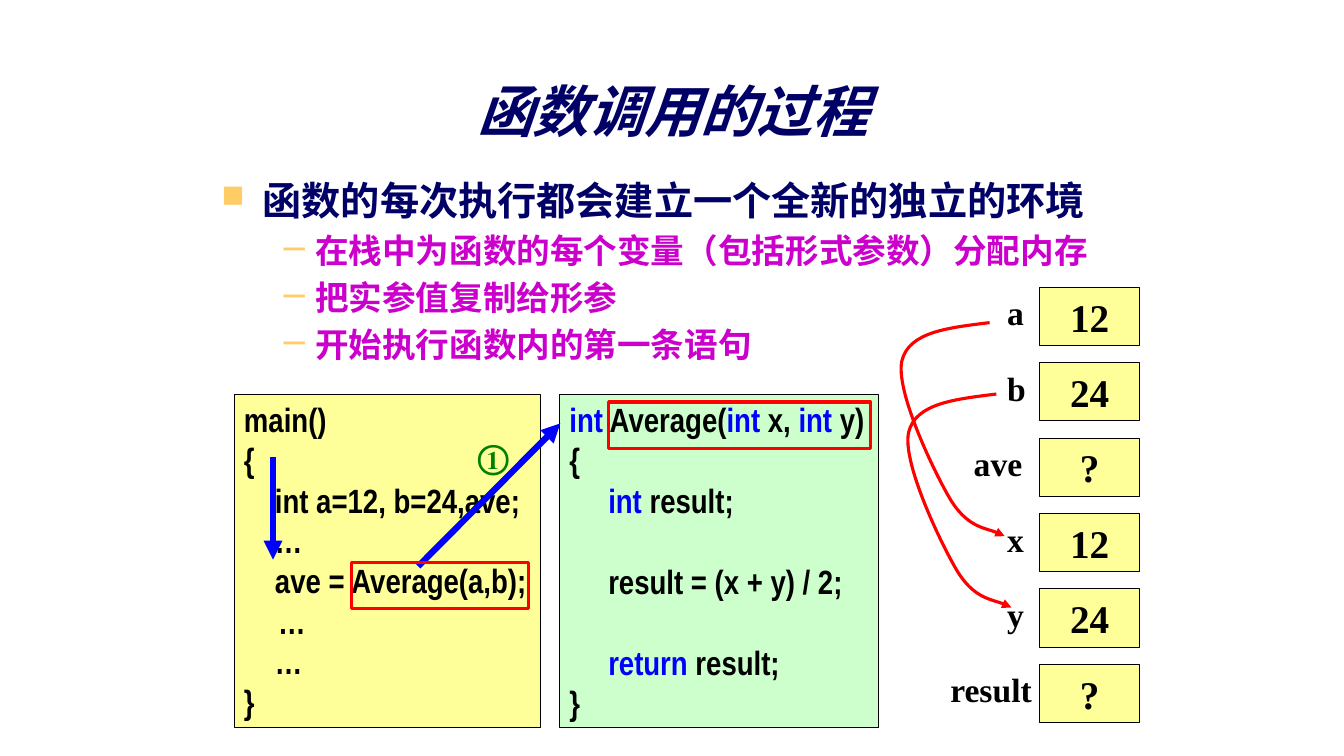
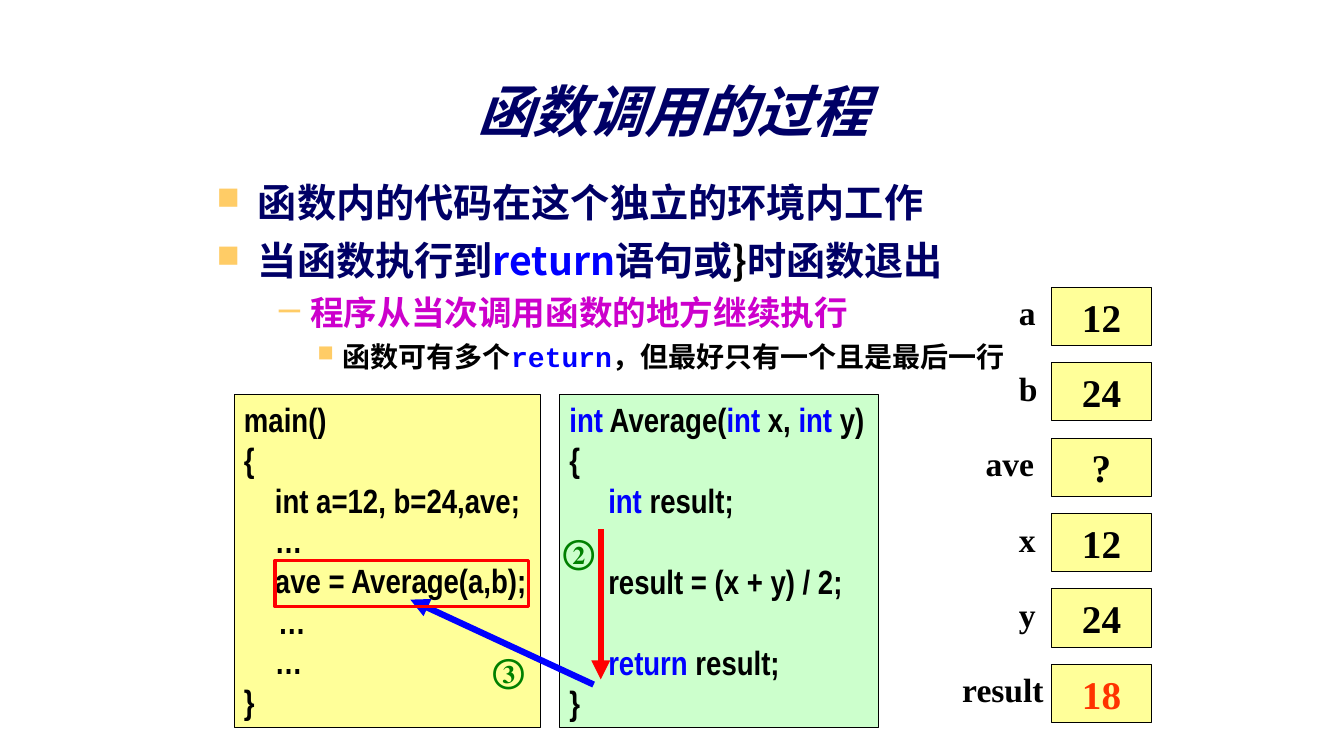
from dataclasses import dataclass, field

from lxml.etree import SubElement as Sub
from pptx import Presentation
from pptx.dml.color import RGBColor as RGB
from pptx.enum.shapes import MSO_CONNECTOR as Link, MSO_SHAPE as Kind
from pptx.enum.text import MSO_ANCHOR as Anchor, MSO_AUTO_SIZE as Fit, PP_ALIGN as Align
from pptx.oxml.ns import qn
from pptx.util import Cm, Pt


@dataclass(frozen=True)
class Theme:
    """Colours, fonts and type sizes of the deck."""

    ink: str = "000000"
    navy: str = "000066"
    plum: str = "CC00CC"
    gold: str = "FFCC66"
    blue: str = "0000FF"
    red: str = "FF0000"
    green: str = "008000"
    fresh: str = "FF3300"
    cream: str = "FFFF99"
    mint: str = "CCFFCC"
    serif: str = "Times New Roman"
    narrow: str = "Arial Narrow"
    mono: str = "Courier New"
    han: str = "Noto Sans CJK SC"
    title: int = 40
    big: int = 28
    mid: int = 24
    small: int = 20
    keys: dict = field(default_factory=lambda: {"int": "0000FF", "return": "0000FF", "}": "000000"})


@dataclass(frozen=True)
class Box:
    """A rectangle in centimetres."""

    x: float
    y: float
    w: float = 0
    h: float = 0

    def sub(self, x, y, w=0, h=0):
        """Return a box placed relative to this one."""
        return Box(self.x + x, self.y + y, w, h)

    def cm(self):
        """Return left, top, width and height as lengths."""
        return Cm(self.x), Cm(self.y), Cm(self.w), Cm(self.h)


@dataclass(frozen=True)
class Level:
    """Look of one outline level."""

    left: float
    hang: float
    mark: str
    scale: int
    size: int
    font: str
    hue: str


T = Theme()
LEVELS = (
    Level(1.04, 1.04, "■", 80, T.big, T.han, T.navy),
    Level(2.36, 0.79, "–", 115, T.mid, T.han, T.plum),
    Level(3.18, 0.64, "■", 80, T.small, T.mono, T.ink),
)
TITLE = Box(6.12, 1.73, 21.67, 2.34)
MAIN = Box(5.9, 9.93, 7.72, 8.41)
CALLEE = Box(14.1, 9.93, 8.03, 8.41)
CELL = Box(0, 0, 2.54, 1.47)
PITCH = 1.9
VARS = (("a", 0.81), ("b", 0.81), ("ave", 1.65), ("x", 0.81), ("y", 0.81), ("result", 2.24))
CURVE = (
    (-1.25, 0.89), (-2.29, 1.02), (-3.28, 1.12), (-3.46, 1.85), (-3.63, 2.59),
    (-2.69, 4.57), (-2.26, 5.31), (-1.83, 6.04), (-1.09, 6.12), (-0.87, 6.27),
)
MAIN_CODE = (
    ("main()", 0, 0), ("{", 0, 0), ("int a=12, b=24,ave;", 0.78, 0), ("…", 0.78, 0),
    ("ave = Average(a,b);", 0.78, 0), ("…", 0.86, 0), ("…", 0.78, 0), ("}", 0, 0),
)
CALLEE_CODE = (
    ("`int` Average(`int` x, `int` y)", 0, 0), ("{", 0, 0), ("`int` result;", 0.98, 0),
    ("result = (x + y) / 2;", 0.98, 29), ("`return` result;", 0.98, 29), ("}", 0, 0),
)


def style(run, size, font, hue, east=None):
    """Format one run in bold."""
    face = run.font
    face.size, face.bold, face.name = Pt(size), True, font
    face.color.rgb = RGB.from_string(hue)
    Sub(run._r.rPr, qn("a:ea"), typeface=east or font)


def write(par, text, size, font, hue, east=None):
    """Write text whose backquoted words take their key colour."""
    for i, part in enumerate(text.split("`")):
        if part:
            run = par.add_run()
            run.text = part
            style(run, size, font, T.keys[part] if i % 2 else hue, east)


def rows(frame, items):
    """Yield a paragraph with each item."""
    for i, item in enumerate(items):
        yield (frame.add_paragraph() if i else frame.paragraphs[0]), item


def rect(slide, box, line, width, fill=None):
    """Add an outlined rectangle."""
    shape = slide.shapes.add_shape(Kind.RECTANGLE, *box.cm())
    shape.shadow.inherit = False
    shape.line.color.rgb = RGB.from_string(line)
    shape.line.width = Pt(width)
    if fill:
        shape.fill.solid()
        shape.fill.fore_color.rgb = RGB.from_string(fill)
    else:
        shape.fill.background()
    return shape


def tip(shape, hue, width):
    """Give a line its colour, width and arrowhead."""
    shape.line.color.rgb = RGB.from_string(hue)
    shape.line.width = Pt(width)
    Sub(shape.line._get_or_add_ln(), qn("a:tailEnd"), type="triangle")


def arrow(slide, box, start, end, hue):
    """Draw a straight arrow inside a region."""
    ends = box.sub(*start).cm()[:2] + box.sub(*end).cm()[:2]
    link = slide.shapes.add_connector(Link.STRAIGHT, *ends)
    tip(link, hue, 4.5)
    Sub(link._element.spPr, qn("a:effectLst"))


def curve(slide, box):
    """Draw a curved arrow from an argument to its parameter."""
    first, *rest = [box.sub(*p).cm()[:2] for p in CURVE]
    pen = slide.shapes.build_freeform(*first)
    pen.add_line_segments(rest, close=False)
    shape = pen.convert_to_shape()
    shape.shadow.inherit = False
    shape.fill.background()
    tip(shape, T.red, 2.25)
    steps = list(shape._element.iter(qn("a:lnTo")))
    for i in range(0, len(steps), 3):
        trio = steps[i:i + 3]
        bend = Sub(trio[0].getparent(), qn("a:cubicBezTo"))
        for step in trio:
            bend.append(step[0])
            step.getparent().remove(step)


def note(slide, box, text, hue, inset=0.25):
    """Add a one-line serif label."""
    frame = slide.shapes.add_textbox(*box.cm()).text_frame
    frame.word_wrap = True
    frame.margin_left = frame.margin_right = Cm(inset)
    frame.text = text
    style(frame.paragraphs[0].runs[0], T.mid, T.serif, hue)


def step(slide, box, x, y, text):
    """Add a circled step number inside a region."""
    note(slide, box.sub(x, y, 1.37, 1.27), text, T.green)


def mark(slide, box, x, y, w):
    """Frame a call in red inside a region."""
    rect(slide, box.sub(x, y, w, 1.17), T.red, 2.25)


def head(slide, box):
    """Place and format the title."""
    shape = slide.shapes.title
    shape.left, shape.top, shape.width, shape.height = box.cm()
    frame = shape.text_frame
    frame.auto_size, frame.vertical_anchor = Fit.NONE, Anchor.MIDDLE
    frame.text = "函数调用的过程"
    par = frame.paragraphs[0]
    par.alignment, par.line_spacing = Align.CENTER, 0.85
    run = par.runs[0]
    style(run, T.title, T.serif, T.navy, T.han)
    run.font.italic = True


def outline(slide, box, items, lead):
    """Write the bulleted outline."""
    frame = slide.shapes.add_textbox(*box.cm()).text_frame
    frame.word_wrap = True
    for par, (depth, text) in rows(frame, items):
        look = LEVELS[depth]
        par.line_spacing = Pt(look.size * lead)
        par.space_before = Pt(look.size * 0.2)
        props = par._p.get_or_add_pPr()
        props.set("marL", str(Cm(look.left)))
        props.set("indent", str(-Cm(look.hang)))
        Sub(Sub(props, qn("a:buClr")), qn("a:srgbClr"), val=T.gold)
        Sub(props, qn("a:buSzPct"), val=str(look.scale * 1000))
        Sub(props, qn("a:buChar"), char=look.mark)
        write(par, text, look.size, look.font, look.hue, T.han)


def code(slide, box, fill, lines):
    """Draw a panel of source code."""
    frame = rect(slide, box, T.ink, 0.75, fill).text_frame
    frame.word_wrap, frame.vertical_anchor = True, Anchor.TOP
    for par, (text, left, gap) in rows(frame, lines):
        par.alignment, par.space_before = Align.LEFT, Pt(gap)
        par._p.get_or_add_pPr().set("marL", str(Cm(left)))
        write(par, text, T.mid, T.narrow, T.ink)


def stack(slide, box, last, hue):
    """Draw the named memory cells."""
    values = ("12", "24", "?", "12", "24", last)
    for i, ((name, back), value) in enumerate(zip(VARS, values)):
        cell = box.sub(0, i * PITCH, CELL.w, CELL.h)
        note(slide, cell.sub(-back, 0, back + 0.2, 1.27), name, T.ink, 0)
        frame = rect(slide, cell, T.ink, 0.75, T.cream).text_frame
        frame.vertical_anchor = Anchor.MIDDLE
        frame.text = value
        par = frame.paragraphs[0]
        par.alignment = Align.CENTER
        style(par.runs[0], T.big, T.serif, hue if value == last == "18" else T.ink)


def base(deck, box, items, lead):
    """Start a slide with title, outline and both code panels."""
    slide = deck.slides.add_slide(deck.slide_layouts[5])
    head(slide, TITLE)
    outline(slide, box, items, lead)
    code(slide, MAIN, T.cream, MAIN_CODE)
    code(slide, CALLEE, T.mint, CALLEE_CODE)
    return slide


def enter(deck):
    """Build the slide on entering the function."""
    slide = base(deck, Box(5.33, 4.32, 23.9, 4.8), (
        (0, "函数的每次执行都会建立一个全新的独立的环境"),
        (1, "在栈中为函数的每个变量（包括形式参数）分配内存"),
        (1, "把实参值复制给形参"),
        (1, "开始执行函数内的第一条语句"),
    ), 1.2)
    arrow(slide, MAIN, (4.64, 4.34), (8.22, 0.74), T.blue)
    arrow(slide, MAIN, (0.98, 1.58), (0.98, 4.17), T.blue)
    step(slide, MAIN, 5.89, 0.92, "①")
    mark(slide, MAIN, 2.96, 4.24, 4.47)
    mark(slide, CALLEE, 1.24, 0.2, 6.6)
    cells = Box(26.19, 7.24)
    stack(slide, cells, "?", T.ink)
    curve(slide, cells)
    curve(slide, cells.sub(0.17, 1.8))


def leave(deck):
    """Build the slide on returning from the function."""
    slide = base(deck, Box(5.21, 4.32, 23.9, 4.8), (
        (0, "函数内的代码在这个独立的环境内工作"),
        (0, "当函数执行到`return`语句或`}`时函数退出"),
        (1, "程序从当次调用函数的地方继续执行"),
        (2, "函数可有多个`return`，但最好只有一个且是最后一行"),
    ), 1.26)
    arrow(slide, CALLEE, (1.04, 3.41), (1.04, 7.19), T.red)
    arrow(slide, MAIN, (9.06, 7.32), (4.44, 5.18), T.blue)
    step(slide, MAIN, 6.27, 6.33, "③")
    step(slide, CALLEE, -0.16, 3.33, "②")
    mark(slide, MAIN, 1.03, 4.19, 6.4)
    stack(slide, Box(26.49, 7.24), "18", T.fresh)


def main():
    """Build and save the deck."""
    deck = Presentation()
    deck.slide_width, deck.slide_height = Cm(33.87), Cm(19.05)
    enter(deck)
    leave(deck)
    deck.save("out.pptx")


if __name__ == "__main__":
    main()
